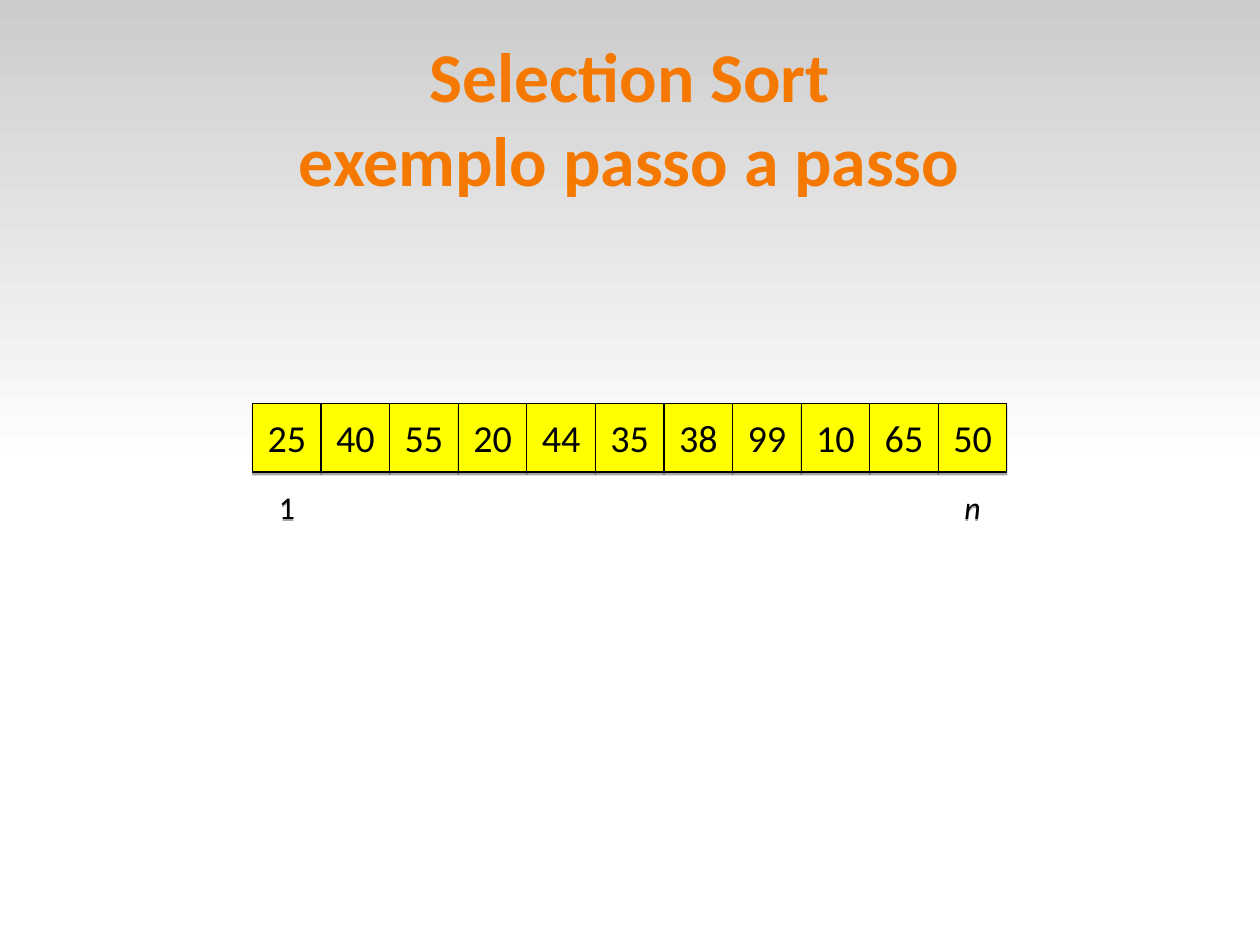
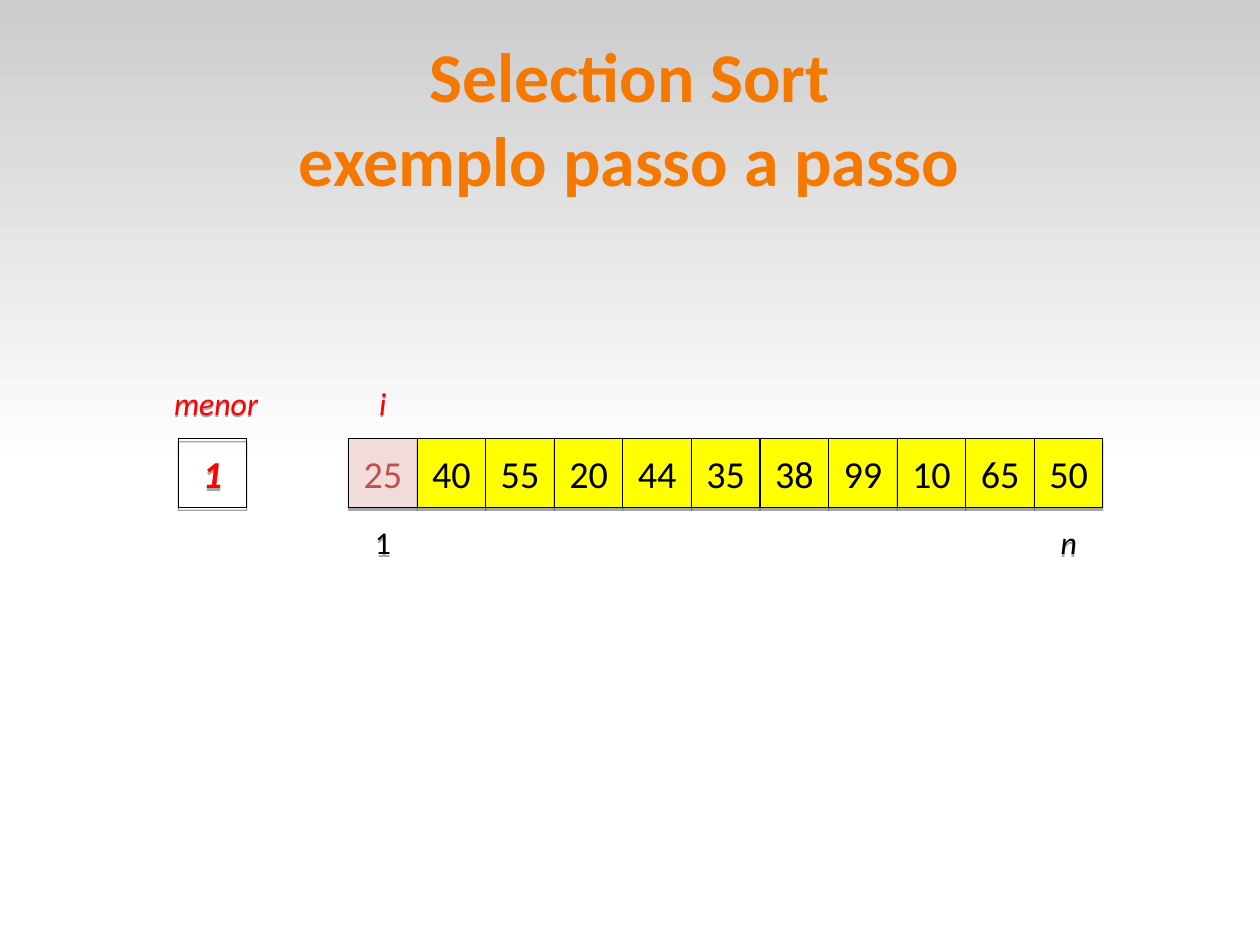
from dataclasses import dataclass
from typing import Optional

import lxml.etree
import pptx
import pptx.dml.color
import pptx.enum.shapes
import pptx.enum.text
import pptx.oxml.ns
import pptx.presentation
import pptx.shapes.autoshape
import pptx.shapes.shapetree
import pptx.slide
import pptx.util

Inches = pptx.util.Inches
RGBColor = pptx.dml.color.RGBColor
RECTANGLE = pptx.enum.shapes.MSO_SHAPE.RECTANGLE

ORANGE = RGBColor(0xF5, 0x79, 0x00)
GRAY = RGBColor(0xCC, 0xCC, 0xCC)
WHITE = RGBColor(0xFF, 0xFF, 0xFF)
BLACK = RGBColor(0x00, 0x00, 0x00)
YELLOW = RGBColor(0xFF, 0xFF, 0x00)
RED = RGBColor(0xFF, 0x00, 0x00)
PINK = RGBColor(0xF2, 0xDC, 0xDB)
BRICK = RGBColor(0xC0, 0x50, 0x4D)

FONT = "Calibri"
TITLE = "Selection Sort\vexemplo passo a passo"
CM_PER_INCH = 2.54
SLIDE_WIDTH, SLIDE_HEIGHT = 28 / CM_PER_INCH, 21 / CM_PER_INCH
VALUES = (25, 40, 55, 20, 44, 35, 38, 99, 10, 65, 50)
CELL = 0.6
LABEL_RISE = 0.62


@dataclass(frozen=True)
class Box:
    text: str
    left: float
    top: float
    width: float = CELL
    outlined: bool = False
    fill: Optional[RGBColor] = None
    color: RGBColor = BLACK
    bold: bool = False
    italic: bool = False


@dataclass(frozen=True)
class Step:
    left: float
    top: float
    current: Optional[int] = None
    smallest: Optional[int] = None
    smallest_left: float = 1.56


STEPS = (
    Step(left=2.21, top=3.53),
    Step(left=3.05, top=3.84, current=0, smallest=1),
)


def add_shadow(shape: pptx.shapes.autoshape.Shape) -> None:
    qn = pptx.oxml.ns.qn
    shape.shadow.inherit = False
    effects = shape.element.spPr.find(qn("a:effectLst"))
    shadow = lxml.etree.SubElement(
        effects, qn("a:outerShdw"), blurRad="0", dist="22860", dir="5400000", rotWithShape="0"
    )
    color = lxml.etree.SubElement(shadow, qn("a:srgbClr"), val=str(BLACK))
    lxml.etree.SubElement(color, qn("a:alpha"), val="35000")


def format_text(
    shape: pptx.shapes.autoshape.Shape,
    text: str,
    size: int,
    color: RGBColor,
    bold: bool = False,
    italic: bool = False,
) -> None:
    frame = shape.text_frame
    frame.text = text
    frame.word_wrap = True
    frame.auto_size = pptx.enum.text.MSO_AUTO_SIZE.NONE
    frame.vertical_anchor = pptx.enum.text.MSO_ANCHOR.MIDDLE
    paragraph = frame.paragraphs[0]
    paragraph.alignment = pptx.enum.text.PP_ALIGN.CENTER
    paragraph.font.name = FONT
    paragraph.font.size = pptx.util.Pt(size)
    paragraph.font.color.rgb = color
    paragraph.font.bold = bold
    paragraph.font.italic = italic


def add_box(shapes: pptx.shapes.shapetree.GroupShapes, box: Box) -> None:
    area = Inches(box.left), Inches(box.top), Inches(box.width), Inches(CELL)
    if box.outlined:
        shape = shapes.add_shape(RECTANGLE, *area)
        shape.line.color.rgb = BLACK
        shape.line.width = pptx.util.Pt(0.75)
    else:
        shape = shapes.add_textbox(*area)
    if box.fill is None:
        shape.fill.background()
    else:
        shape.fill.solid()
        shape.fill.fore_color.rgb = box.fill
    add_shadow(shape)
    size = 24 if box.outlined else 20
    format_text(shape, box.text, size, box.color, box.bold, box.italic)


def add_group(slide: pptx.slide.Slide, boxes: list[Box]) -> None:
    group = slide.shapes.add_group_shape()
    for box in boxes:
        add_box(group.shapes, box)


def array_boxes(step: Step) -> list[Box]:
    lefts = [step.left + CELL * index for index in range(len(VALUES))]
    boxes = [
        Box("1", lefts[0], step.top + CELL),
        Box("n", lefts[-1], step.top + CELL, italic=True),
    ]
    for index, (value, left) in enumerate(zip(VALUES, lefts)):
        fill, color = (PINK, BRICK) if index == step.current else (YELLOW, BLACK)
        boxes.append(Box(str(value), left, step.top, outlined=True, fill=fill, color=color))
    if step.current is not None:
        boxes.append(Box("i", lefts[step.current], step.top - LABEL_RISE, color=RED, italic=True))
    return boxes


def smallest_boxes(step: Step) -> list[Box]:
    left = step.smallest_left
    return [
        Box(str(step.smallest), left, step.top, outlined=True, color=RED, bold=True, italic=True),
        Box("menor", left - 0.18, step.top - LABEL_RISE, width=1.02, color=RED, italic=True),
    ]


def add_step_slide(
    presentation: pptx.presentation.Presentation, step: Step
) -> pptx.slide.Slide:
    slide = presentation.slides.add_slide(presentation.slide_layouts[5])
    title = slide.shapes.title
    title.left, title.top = Inches(0.55), Inches(0.23)
    title.width, title.height = Inches(9.92), Inches(1.58)
    frame = title.text_frame
    frame.margin_left = frame.margin_right = frame.margin_top = frame.margin_bottom = 0
    format_text(title, TITLE, 44, ORANGE, bold=True)
    add_group(slide, array_boxes(step))
    if step.smallest is not None:
        add_group(slide, smallest_boxes(step))
    return slide


def add_master_band(
    presentation: pptx.presentation.Presentation, slide: pptx.slide.Slide
) -> None:
    band = slide.shapes.add_shape(RECTANGLE, 0, 0, Inches(SLIDE_WIDTH), Inches(SLIDE_HEIGHT / 2))
    band.shadow.inherit = False
    band.line.fill.background()
    band.fill.gradient()
    band.fill.gradient_angle = 270
    for stop, color in zip(band.fill.gradient_stops, (GRAY, WHITE)):
        stop.color.rgb = color
    presentation.slide_master.shapes.element.insert(2, band.element)


def main() -> None:
    presentation = pptx.Presentation()
    presentation.slide_width = Inches(SLIDE_WIDTH)
    presentation.slide_height = Inches(SLIDE_HEIGHT)
    slides = [add_step_slide(presentation, step) for step in STEPS]
    add_master_band(presentation, slides[0])
    presentation.save("out.pptx")


if __name__ == "__main__":
    main()
